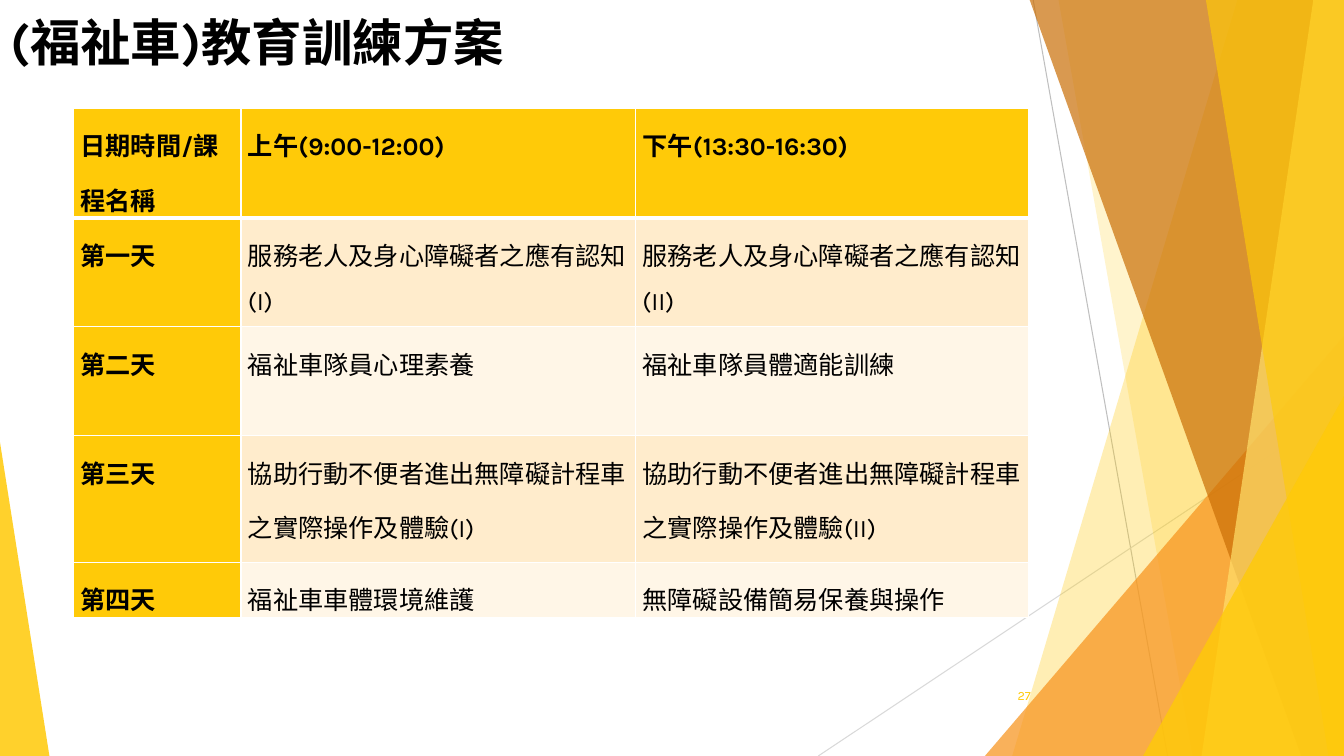
from lxml import etree
from pptx import Presentation
from pptx.dml.color import RGBColor
from pptx.enum.shapes import MSO_CONNECTOR, MSO_SHAPE
from pptx.enum.text import MSO_ANCHOR, PP_ALIGN
from pptx.oxml.ns import qn
from pptx.util import Pt

STRAIGHT = MSO_CONNECTOR.STRAIGHT
TRIANGLE = MSO_SHAPE.ISOSCELES_TRIANGLE
MIDDLE, BOTTOM = MSO_ANCHOR.MIDDLE, MSO_ANCHOR.BOTTOM
LEFT, RIGHT = PP_ALIGN.LEFT, PP_ALIGN.RIGHT

TITLE = "(福祉車)教育訓練方案"
PAGE_NUMBER = "27"
SCHEDULE = [
    ("日期時間/課程名稱", "上午(9:00-12:00)", "下午(13:30-16:30)"),
    ("第一天", "服務老人及身心障礙者之應有認知(I)", "服務老人及身心障礙者之應有認知(II)"),
    ("第二天", "福祉車隊員心理素養", "福祉車隊員體適能訓練"),
    ("第三天", "協助行動不便者進出無障礙計程車之實際操作及體驗(I)",
     "協助行動不便者進出無障礙計程車之實際操作及體驗(II)"),
    ("第四天", "福祉車車體環境維護", "無障礙設備簡易保養與操作"),
]

THEME = {
    "font": "Karla", "ink": "000000", "white": "FFFFFF",
    "gold": "FFCA08", "pale_gold": "FFDF6B", "orange": "F8931D", "brown": "CA6F06",
    "band_dark": "FFECCC", "band_light": "FFF6E7",
    "ray_dark": "BFBFBF", "ray_light": "D9D9D9",
    "title_size": 36, "table_size": 18, "number_size": 9,
}

WIDTH, HEIGHT = 960, 540
BLEED = -0.6
TITLE_BOX = (0, 0, 677, 54.7)
NUMBER_BOX = (689.6, 482.6, 53.8, 28.8)
TABLE_ORIGIN = (52.5, 77.4)
COLUMN_WIDTHS = (119.6, 281.8, 281)
ROW_HEIGHTS = (78.2, 77.8, 77.8, 90.6, 39.6)
CELL_MARGINS = {"margin_left": Pt(5), "margin_right": Pt(5), "margin_top": 0, "margin_bottom": 0}

# Rays: start, end, colour
RAYS = [((738, 0), (834, HEIGHT), "ray_dark"), ((WIDTH, 290), (584.5, HEIGHT), "ray_light")]
# Facets reach the right edge: top-left x, bottom-left x, colour, opacity
# Wedges stand on the bottom edge: left, top, width, apex position, colour, opacity
DECOR = [
    ("facet", (884, 723, "gold", 30)),
    ("facet", (756, 852, "gold", 20)),
    ("wedge", (703.5, 240, 256.5, 1, "orange", 72)),
    ("facet", (735.3, 929.5, "brown", 70)),
    ("facet", (938.2, 858.3, "pale_gold", 70)),
    ("facet", (861.3, 949, "gold", 65)),
    ("wedge", (816.5, 283, 143.5, 1, "gold", 80)),
    ("wedge", (0, 316, 35.3, 0, "gold", 85)),
]


def colour(name):
    return RGBColor.from_string(THEME[name])


def points(values):
    return [Pt(value) for value in values]


def paint(shape, name, opacity):
    shape.shadow.inherit = False
    shape.line.fill.background()
    shape.fill.solid()
    shape.fill.fore_color.rgb = colour(name)
    solid = shape.fill._xPr.find(qn("a:solidFill"))
    etree.SubElement(solid[0], qn("a:alpha"), val=str(opacity * 1000))


def add_facet(shapes, top_x, bottom_x, name, opacity):
    builder = shapes.build_freeform(Pt(top_x), Pt(BLEED))
    corners = [(WIDTH, BLEED), (WIDTH, HEIGHT), (bottom_x, HEIGHT)]
    builder.add_line_segments([points(corner) for corner in corners], close=True)
    paint(builder.convert_to_shape(), name, opacity)


def add_wedge(shapes, left, top, width, apex, name, opacity):
    wedge = shapes.add_shape(TRIANGLE, *points((left, top, width, HEIGHT - top)))
    wedge.adjustments[0] = apex
    paint(wedge, name, opacity)


def add_ray(shapes, start, end, name):
    ray = shapes.add_connector(STRAIGHT, *points(start + end))
    ray.line.color.rgb = colour(name)
    ray.line.width = Pt(0.75)
    etree.SubElement(ray._element.spPr, qn("a:effectLst"))


def write(frame, text, size, name, bold=False, align=LEFT, spacing=1.0):
    frame.word_wrap = True
    paragraph = frame.paragraphs[0]
    paragraph.alignment = align
    paragraph.line_spacing = spacing
    run = paragraph.add_run()
    run.text = text
    font_format = {"name": THEME["font"], "size": Pt(THEME[size]), "bold": bold}
    for attribute, value in font_format.items():
        setattr(run.font, attribute, value)
    run.font.color.rgb = colour(name)


def border(cell, bottom_width):
    """Put white lines round a cell, ahead of its fill element."""
    properties = cell._tc.get_or_add_tcPr()
    widths = {"lnL": 1, "lnR": 1, "lnT": 1, "lnB": bottom_width}
    for position, (side, width) in enumerate(widths.items()):
        line = etree.Element(qn(f"a:{side}"), w=str(Pt(width)))
        solid = etree.SubElement(line, qn("a:solidFill"))
        etree.SubElement(solid, qn("a:srgbClr"), val=THEME["white"])
        properties.insert(position, line)


def add_schedule(shapes):
    size = (sum(COLUMN_WIDTHS), sum(ROW_HEIGHTS))
    table = shapes.add_table(len(SCHEDULE), len(COLUMN_WIDTHS),
                             *points(TABLE_ORIGIN + size)).table
    for column, width in zip(table.columns, COLUMN_WIDTHS):
        column.width = Pt(width)
    for r, (lessons, height) in enumerate(zip(SCHEDULE, ROW_HEIGHTS)):
        table.rows[r].height = Pt(height)
        band = "band_dark" if r % 2 else "band_light"
        for c, lesson in enumerate(lessons):
            cell = table.cell(r, c)
            heading = r == 0 or c == 0
            for attribute, value in CELL_MARGINS.items():
                setattr(cell, attribute, value)
            cell.fill.solid()
            cell.fill.fore_color.rgb = colour("gold" if heading else band)
            border(cell, 3 if r == 0 else 1)
            write(cell.text_frame, lesson, "table_size", "ink", bold=heading, spacing=1.5)


def main():
    deck = Presentation()
    deck.slide_width, deck.slide_height = Pt(WIDTH), Pt(HEIGHT)
    slide = deck.slides.add_slide(deck.slide_layouts[5])
    shapes = slide.shapes

    for ray in RAYS:
        add_ray(shapes, *ray)
    builders = {"facet": add_facet, "wedge": add_wedge}
    for kind, geometry in DECOR:
        builders[kind](shapes, *geometry)

    title = shapes.title
    title.left, title.top, title.width, title.height = points(TITLE_BOX)
    title.text_frame.vertical_anchor = BOTTOM
    write(title.text_frame, TITLE, "title_size", "ink", bold=True)

    number = shapes.add_textbox(*points(NUMBER_BOX)).text_frame
    number.vertical_anchor = MIDDLE
    write(number, PAGE_NUMBER, "number_size", "gold", align=RIGHT)

    add_schedule(shapes)
    deck.save("out.pptx")


if __name__ == "__main__":
    main()
